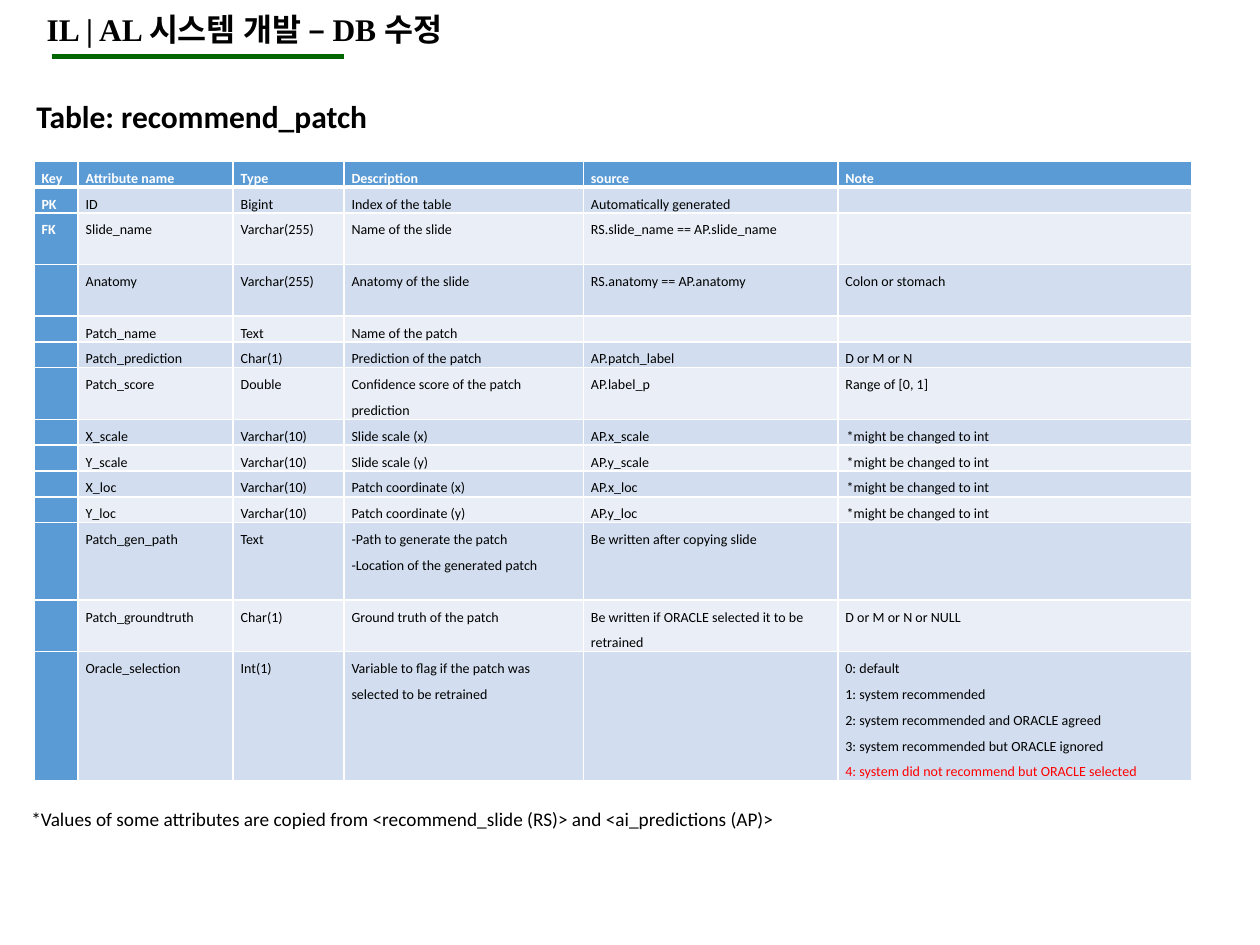
"""Build the slide that documents the recommend_patch database table."""
from lxml.etree import SubElement
from pptx import Presentation
from pptx.dml.color import RGBColor as RGB
from pptx.enum.shapes import MSO_CONNECTOR as CONN
from pptx.enum.text import MSO_ANCHOR as ANCHOR, MSO_AUTO_SIZE as AUTO, PP_ALIGN as ALIGN
from pptx.oxml.ns import qn
from pptx.util import Inches, Pt

THEME = {
    "ink": "000000", "white": "FFFFFF", "alert": "FF0000", "rule": "006600",
    "head": "5B9BD5", "bands": ("D2DEEF", "EAEFF7"),
    "body": "Calibri", "serif": "Times New Roman",
    "heading_pt": 18, "note_pt": 11, "cell_pt": 8,
}
TITLE = "IL | AL 시스템 개발 – DB 수정"
SUBTITLE = "Table: recommend_patch"
FOOTNOTE = ("*Values of some attributes are copied from "
            "<recommend_slide (RS)> and <ai_predictions (AP)>")
MAYBE_INT = "*might be changed to int"
ALERT = "4: system did not recommend but ORACLE selected"
FLAGS = "\n".join([
    "0: default", "1: system recommended", "2: system recommended and ORACLE agreed",
    "3: system recommended but ORACLE ignored", ALERT])

COLUMNS = [("Key", 0.35), ("Attribute name", 1.23), ("Type", 0.88),
           ("Description", 1.9), ("source", 2.02), ("Note", 2.81)]
ROWS = [
    (1, "PK", "ID", "Bigint", "Index of the table", "Automatically generated", ""),
    (2, "FK", "Slide_name", "Varchar(255)", "Name of the slide",
     "RS.slide_name == AP.slide_name", ""),
    (2, "", "Anatomy", "Varchar(255)", "Anatomy of the slide",
     "RS.anatomy == AP.anatomy", "Colon or stomach"),
    (1, "", "Patch_name", "Text", "Name of the patch", "", ""),
    (1, "", "Patch_prediction", "Char(1)", "Prediction of the patch",
     "AP.patch_label", "D or M or N"),
    (2, "", "Patch_score", "Double", "Confidence score of the patch prediction",
     "AP.label_p", "Range of [0, 1]"),
    (1, "", "X_scale", "Varchar(10)", "Slide scale (x)", "AP.x_scale", MAYBE_INT),
    (1, "", "Y_scale", "Varchar(10)", "Slide scale (y)", "AP.y_scale", MAYBE_INT),
    (1, "", "X_loc", "Varchar(10)", "Patch coordinate (x)", "AP.x_loc", MAYBE_INT),
    (1, "", "Y_loc", "Varchar(10)", "Patch coordinate (y)", "AP.y_loc", MAYBE_INT),
    (3, "", "Patch_gen_path", "Text",
     "-Path to generate the patch\n-Location of the generated patch",
     "Be written after copying slide", ""),
    (2, "", "Patch_groundtruth", "Char(1)", "Ground truth of the patch",
     "Be written if ORACLE selected it to be retrained", "D or M or N or NULL"),
    (5, "", "Oracle_selection", "Int(1)",
     "Variable to flag if the patch was selected to be retrained", "", FLAGS),
]
LINE_HEIGHT = Inches(0.41) // 2


def style(p, size, color="ink", bold=False, face="body"):
    p.font.size = Pt(size)
    p.font.name = THEME[face]
    p.font.bold = bold
    p.font.color.rgb = RGB.from_string(THEME[color])


def place_text(sp, box, text, size, bold=False, face="body", wrap=True):
    sp.left, sp.top, sp.width, sp.height = map(Inches, box)
    tf = sp.text_frame
    tf.text = text
    tf.word_wrap = wrap
    tf.auto_size = AUTO.SHAPE_TO_FIT_TEXT
    tf.vertical_anchor = ANCHOR.TOP
    p = tf.paragraphs[0]
    p.alignment = ALIGN.LEFT
    style(p, size, bold=bold, face=face)


def add_borders(cell, is_header):
    tc_pr = cell._tc.get_or_add_tcPr()
    for side in "LRTB":
        width = Pt(3 if is_header and side == "B" else 1)
        ln = SubElement(tc_pr, qn(f"a:ln{side}"), w=str(width))
        SubElement(SubElement(ln, qn("a:solidFill")), qn("a:srgbClr"), val=THEME["white"])


def fill_cell(cell, text, row, col):
    strong = row == 0 or col == 0
    add_borders(cell, row == 0)
    cell.fill.solid()
    fill = THEME["head"] if strong else THEME["bands"][(row - 1) % 2]
    cell.fill.fore_color.rgb = RGB.from_string(fill)
    cell.margin_left = cell.margin_right = Inches(0.07 if text == MAYBE_INT else 0.06)
    cell.margin_top = cell.margin_bottom = 0
    cell.text = text
    for p in cell.text_frame.paragraphs:
        color = "alert" if p.text == ALERT else "white" if strong else "ink"
        p.line_spacing = 1.5
        style(p, THEME["cell_pt"], color, strong)
        if not text:
            SubElement(p._p, qn("a:endParaRPr"), sz=str(THEME["cell_pt"] * 100))


def add_schema(slide):
    heights = [1] + [row[0] for row in ROWS]
    grid = [[name for name, _ in COLUMNS]] + [row[1:] for row in ROWS]
    table = slide.shapes.add_table(
        len(grid), len(COLUMNS), Inches(0.27), Inches(1.28),
        Inches(sum(width for _, width in COLUMNS)), LINE_HEIGHT * sum(heights)).table
    table.first_col = True
    for column, (_, width) in zip(table.columns, COLUMNS):
        column.width = Inches(width)
    for r, (lines, texts) in enumerate(zip(heights, grid)):
        table.rows[r].height = LINE_HEIGHT * lines
        for c, text in enumerate(texts):
            fill_cell(table.cell(r, c), text, r, c)


def add_rule(slide):
    line = slide.shapes.add_connector(
        CONN.STRAIGHT, Inches(0.41), Inches(0.45), Inches(2.73), Inches(0.45))
    line.line.color.rgb = RGB.from_string(THEME["rule"])
    line.line.width = Pt(3)
    SubElement(line._element.spPr, qn("a:effectLst"))


def main():
    prs = Presentation()
    prs.slide_width, prs.slide_height = Inches(10), Inches(7.5)
    slide = prs.slides.add_slide(prs.slide_layouts[5])
    place_text(slide.shapes.title, (0.27, 0.03, 6.96, 0.4), TITLE,
               THEME["heading_pt"], bold=True, face="serif")
    add_schema(slide)
    place_text(slide.shapes.add_textbox(0, 0, 0, 0), (0.15, 6.36, 7.19, 0.29),
               FOOTNOTE, THEME["note_pt"])
    place_text(slide.shapes.add_textbox(0, 0, 0, 0), (0.19, 0.72, 2.96, 0.4),
               SUBTITLE, THEME["heading_pt"], bold=True, wrap=False)
    add_rule(slide)
    prs.save("out.pptx")


if __name__ == "__main__":
    main()
